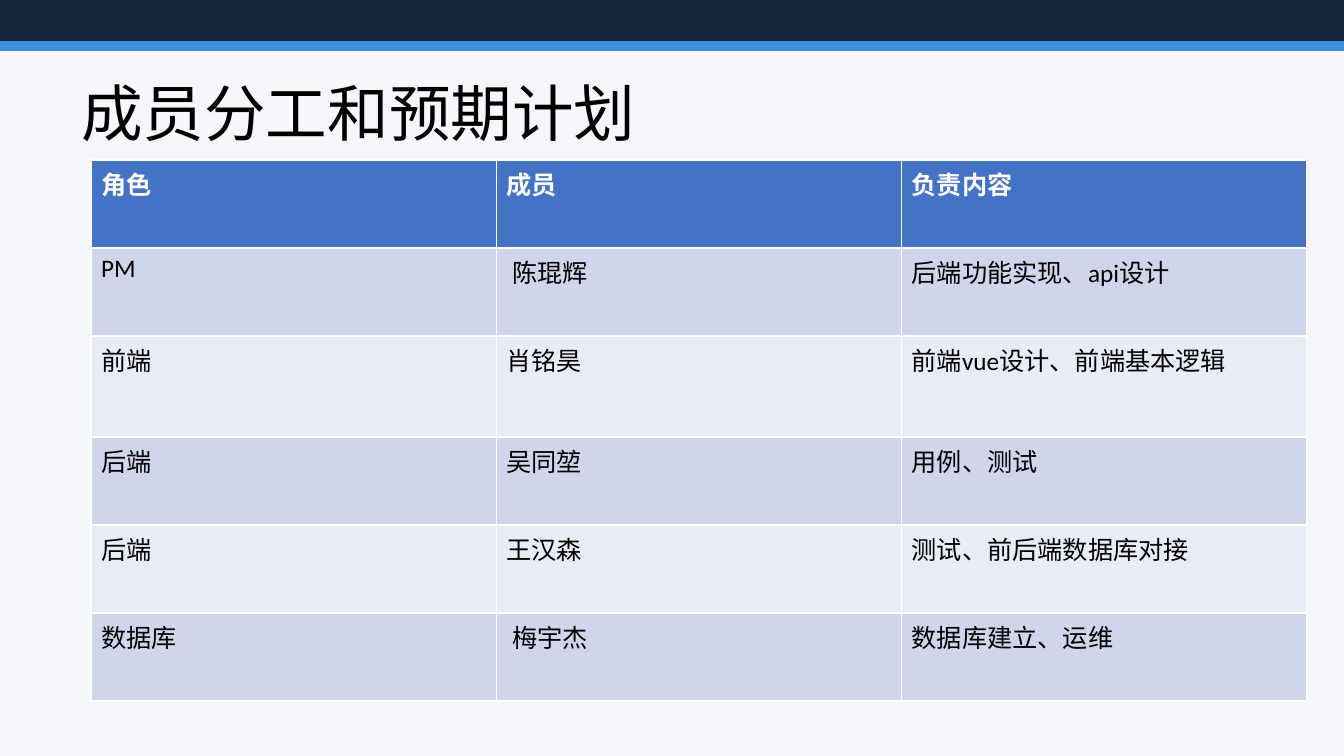
from pptx import Presentation
from pptx.dml.color import RGBColor
from pptx.enum.shapes import MSO_SHAPE
from pptx.enum.text import MSO_ANCHOR, MSO_AUTO_SIZE, PP_ALIGN
from pptx.util import Emu, Pt

PAPER = RGBColor(0xF6, 0xF7, 0xFB)
NAVY = RGBColor(0x14, 0x26, 0x3C)
SKY = RGBColor(0x3E, 0x8E, 0xDE)
HEADER = RGBColor(0x44, 0x72, 0xC4)
BAND_DARK = RGBColor(0xCF, 0xD5, 0xEA)
BAND_LIGHT = RGBColor(0xE9, 0xEB, 0xF5)
BLACK = RGBColor(0, 0, 0)
WHITE = RGBColor(0xFF, 0xFF, 0xFF)
FONT = "Calibri"


def px(count):
    return Emu(round(count * 914400 / 100.8))


def style_text(para, size, color, bold=False):
    for span in para.runs:
        span.font.name = FONT
        span.font.size = Pt(size)
        span.font.bold = bold
        span.font.color.rgb = color


deck = Presentation()
deck.slide_width, deck.slide_height = px(1344), px(756)
page = deck.slides.add_slide(deck.slide_layouts[5])
page.background.fill.solid()
page.background.fill.fore_color.rgb = PAPER

for top, height, color in [(0, 42, NAVY), (42, 8, SKY)]:
    bar = page.shapes.add_shape(MSO_SHAPE.RECTANGLE, 0, px(top), px(1344), px(height))
    bar.shadow.inherit = False
    bar.fill.solid()
    bar.fill.fore_color.rgb = color
    bar.line.color.rgb = color
    bar.line.width = Pt(1)

title = page.shapes.title
title.left, title.top, title.width, title.height = px(71), px(66), px(1200), px(91)
title.text_frame.text = "成员分工和预期计划"
title.text_frame.word_wrap = True
title.text_frame.auto_size = MSO_AUTO_SIZE.NONE
title.text_frame.vertical_anchor = MSO_ANCHOR.MIDDLE
title_para = title.text_frame.paragraphs[0]
title_para.alignment = PP_ALIGN.LEFT
style_text(title_para, 44, BLACK)

members = [
    ("角色", "成员", "负责内容"),
    ("PM", " 陈琨辉", "后端功能实现、api设计"),
    ("前端", "肖铭昊", "前端vue设计、前端基本逻辑"),
    ("后端", "吴同堃", "用例、测试"),
    ("后端", "王汉森", "测试、前后端数据库对接"),
    ("数据库", " 梅宇杰", "数据库建立、运维"),
]
row_heights = [88, 88, 101, 88, 88, 88]

table = page.shapes.add_table(
    len(members), 3, px(91), px(160), px(1216), px(sum(row_heights))
).table
for row_index, (entries, height) in enumerate(zip(members, row_heights)):
    table.rows[row_index].height = px(height)
    is_header = row_index == 0
    band = BAND_DARK if row_index % 2 else BAND_LIGHT
    for column_index, entry in enumerate(entries):
        cell = table.cell(row_index, column_index)
        cell.fill.solid()
        cell.fill.fore_color.rgb = HEADER if is_header else band
        cell.text_frame.text = entry
        style_text(cell.text_frame.paragraphs[0], 18, WHITE if is_header else BLACK, is_header)

deck.save("out.pptx")
